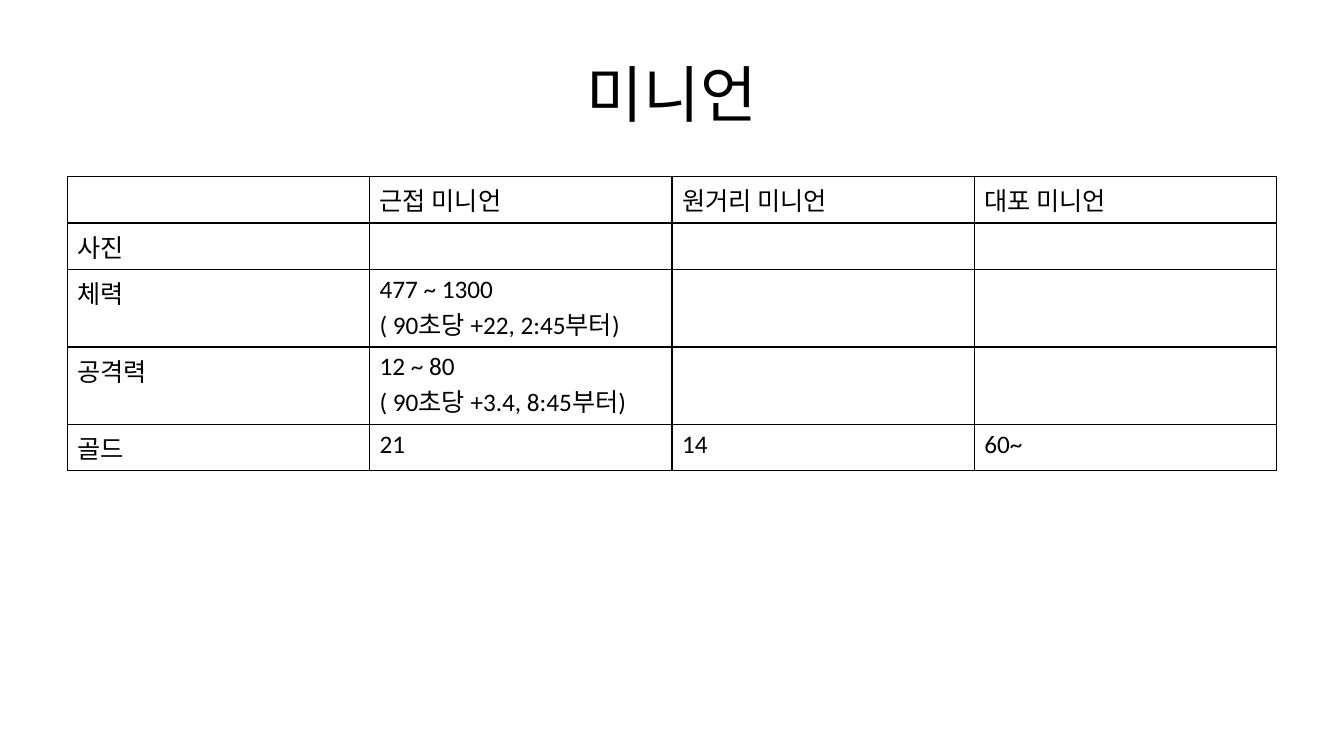
from lxml import etree
from pptx import Presentation
from pptx.dml.color import RGBColor
from pptx.enum.text import MSO_ANCHOR, PP_ALIGN
from pptx.oxml.ns import qn
from pptx.util import Pt

BLACK = RGBColor(0x00, 0x00, 0x00)
WHITE = RGBColor(0xFF, 0xFF, 0xFF)
CENTER = PP_ALIGN.CENTER
MIDDLE = MSO_ANCHOR.MIDDLE
TITLE_ONLY = 5

FONT_NAME = "Calibri"
ROW_HEIGHT = 29.2
BORDER_WIDTH = 1
BORDER_SIDES = ("a:lnL", "a:lnR", "a:lnT", "a:lnB")

MINION_ROWS = [
    ["", "근접 미니언", "원거리 미니언", "대포 미니언"],
    ["사진", "", "", ""],
    ["체력", "477 ~ 1300\n( 90초당 +22, 2:45부터)", "", ""],
    ["공격력", "12 ~ 80\n( 90초당 +3.4, 8:45부터)", "", ""],
    ["골드", "21", "14", "60~"],
]


def format_font(font, size):
    for name, value in {"name": FONT_NAME, "size": Pt(size), "bold": False}.items():
        setattr(font, name, value)
    font.color.rgb = BLACK


def add_title(slide, text, left, top, width, height):
    title = slide.shapes.title
    box = {"left": left, "top": top, "width": width, "height": height}
    for name, value in box.items():
        setattr(title, name, Pt(value))
    title.text_frame.vertical_anchor = MIDDLE
    paragraph = title.text_frame.paragraphs[0]
    paragraph.text = text
    paragraph.alignment = CENTER
    format_font(paragraph.runs[0].font, 44)


def add_borders(cell):
    properties = cell._tc.get_or_add_tcPr()
    for index, side in enumerate(BORDER_SIDES):
        line = etree.Element(qn(side), w=str(Pt(BORDER_WIDTH)))
        fill = etree.SubElement(line, qn("a:solidFill"))
        etree.SubElement(fill, qn("a:srgbClr"), val=str(BLACK))
        # Borders come before the fill in the cell properties
        properties.insert(index, line)


def add_minion_table(slide, rows, left, top, width):
    columns = len(rows[0])
    frame = slide.shapes.add_table(
        len(rows), columns, Pt(left), Pt(top), Pt(width), Pt(ROW_HEIGHT * len(rows)))
    table = frame.table
    table.first_row = False
    table.horz_banding = False

    for row_index, row in enumerate(rows):
        for column_index, text in enumerate(row):
            cell = table.cell(row_index, column_index)
            cell.fill.solid()
            cell.fill.fore_color.rgb = WHITE
            add_borders(cell)
            if text:
                cell.text = text
            for paragraph in cell.text_frame.paragraphs:
                for run in paragraph.runs:
                    format_font(run.font, 18)


def main():
    presentation = Presentation()
    presentation.slide_width = Pt(960)
    presentation.slide_height = Pt(540)
    slide = presentation.slides.add_slide(presentation.slide_layouts[TITLE_ONLY])

    # Heading
    add_title(slide, "미니언", 48, 21.6, 864, 90)
    # Comparison of the minion types
    add_minion_table(slide, MINION_ROWS, 48, 126, 864)

    presentation.save("out.pptx")


if __name__ == "__main__":
    main()
